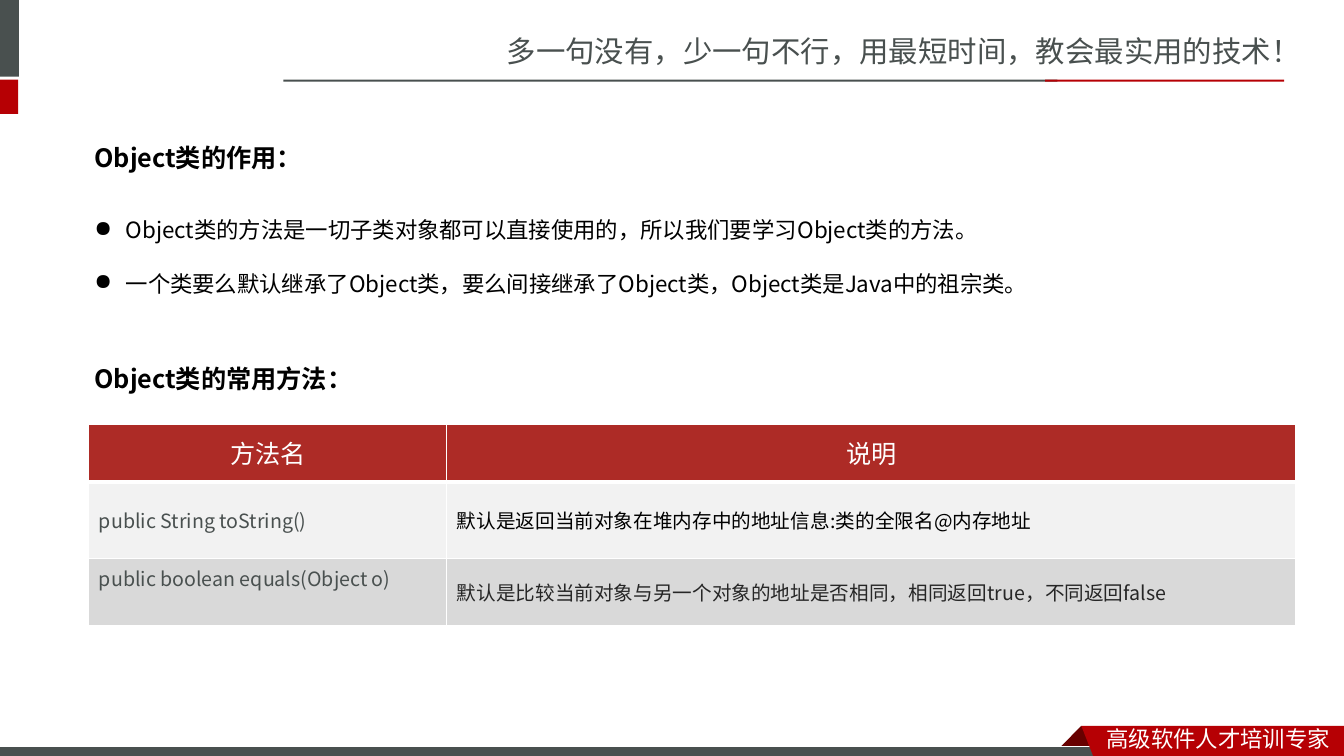
from lxml import etree
from pptx import Presentation
from pptx import util as u
from pptx.dml.color import RGBColor
from pptx.enum import shapes, text
from pptx.oxml import ns

GRAY = RGBColor(0x49, 0x50, 0x4F)
RED = RGBColor(0xB6, 0x00, 0x04)
DARK = RGBColor(0x68, 0x00, 0x00)
BRICK = RGBColor(0xAD, 0x2B, 0x26)
PALE = RGBColor(0xF2, 0xF2, 0xF2)
SILVER = RGBColor(0xD9, 0xD9, 0xD9)
INK = RGBColor(0x26, 0x26, 0x26)
BLACK = RGBColor(0, 0, 0)
WHITE = RGBColor(0xFF, 0xFF, 0xFF)

SANS = "Noto Sans CJK SC"
BODY = "Noto Sans CJK JP"
HEAD = "Roboto"
MIDDLE = text.MSO_ANCHOR.MIDDLE
TOP = text.MSO_ANCHOR.TOP


class Page:
    def __init__(self, slide, font):
        self.slide = slide
        self.font = font

    def style(self, para, size, color, font=None, bold=False):
        """Set the paragraph's font for both Latin and East Asian letters."""
        name = font or self.font
        para.font.size = u.Pt(size)
        para.font.name = name
        para.font.bold = bold
        para.font.color.rgb = color
        props = para._p.get_or_add_pPr().find(ns.qn("a:defRPr"))
        etree.SubElement(props, ns.qn("a:ea")).set("typeface", name)

    def paint(self, shape, fill, edge=None):
        shape.shadow.inherit = False
        shape.fill.solid()
        shape.fill.fore_color.rgb = fill
        if edge is None:
            shape.line.fill.background()
        else:
            shape.line.color.rgb = edge
            shape.line.width = u.Pt(0.75)

    def rect(self, box, fill, edge=None):
        shape = self.slide.shapes.add_shape(
            shapes.MSO_SHAPE.RECTANGLE, *map(u.Cm, box))
        self.paint(shape, fill, edge)

    def poly(self, points, fill):
        first, *rest = [(u.Cm(x), u.Cm(y)) for x, y in points]
        form = self.slide.shapes.build_freeform(*first)
        form.add_line_segments(rest, close=True)
        self.paint(form.convert_to_shape(), fill)

    def text(self, box, lines, size, color, font=None, bold=False,
             space=1, bullet=False):
        frame = self.slide.shapes.add_textbox(*map(u.Cm, box)).text_frame
        frame.word_wrap = True
        frame.auto_size = text.MSO_AUTO_SIZE.SHAPE_TO_FIT_TEXT
        frame.text = "\n".join(lines)
        for para in frame.paragraphs:
            para.line_spacing = space
            if bullet:
                self.bullet(para)
            self.style(para, size, color, font, bold)

    def bullet(self, para):
        props = para._p.get_or_add_pPr()
        props.set("marL", str(u.Cm(0.79)))
        props.set("indent", str(u.Cm(-0.79)))
        etree.SubElement(props, ns.qn("a:buChar")).set("char", "●")

    def table(self, left, top, cols, rows):
        grid = self.slide.shapes.add_table(
            len(rows), len(cols), u.Cm(left), u.Cm(top), u.Cm(sum(cols)),
            u.Cm(sum(rows))).table
        for col, width in zip(grid.columns, cols):
            col.width = u.Cm(width)
        for row, height in zip(grid.rows, rows):
            row.height = u.Cm(height)
        return grid

    def cell(self, cell, words, fill, color, anchor=MIDDLE):
        cell.text = words
        cell.vertical_anchor = anchor
        cell.fill.solid()
        cell.fill.fore_color.rgb = fill
        self.style(cell.text_frame.paragraphs[0], 14, color)

    def header(self, cell, words):
        cell.text = words
        cell.vertical_anchor = MIDDLE
        cell.fill.solid()
        cell.fill.fore_color.rgb = BRICK
        para = cell.text_frame.paragraphs[0]
        para.alignment = text.PP_ALIGN.CENTER
        para.line_spacing = u.Pt(24)
        self.style(para, 18, WHITE, HEAD)

    def border(self, cell, top, bottom):
        """Draw white cell edges; top and bottom are widths in points."""
        props = cell._tc.get_or_add_tcPr()
        edges = {"lnL": 1, "lnR": 1, "lnT": top, "lnB": bottom}
        for place, (tag, width) in enumerate(edges.items()):
            line = etree.Element(ns.qn("a:" + tag), w=str(u.Pt(width)))
            fill = etree.SubElement(line, ns.qn("a:solidFill"))
            etree.SubElement(fill, ns.qn("a:srgbClr")).set("val", str(WHITE))
            props.insert(place, line)


def frame(page):
    """Draw the slogan, the side marks and the footer."""
    page.text((12.52, 0.71, 21.36, 1.19),
              ["多一句没有，少一句不行，用最短时间，教会最实用的技术！"],
              21, GRAY, SANS)
    page.rect((-0.15, 0, 0.63, 1.93), GRAY)
    page.rect((-0.15, 2.01, 0.61, 0.86), RED)
    page.rect((7.14, 2.01, 19.51, 0.05), GRAY)
    page.rect((26.34, 2.01, 6.02, 0.05), RED)
    page.poly([(27.25, 18.29), (27.81, 18.85), (27.79, 18.87),
               (26.72, 18.87), (26.7, 18.85)], DARK)
    page.rect((-0.03, 18.82, 27.94, 0.3), GRAY, WHITE)
    page.poly([(27.25, 18.29), (33.87, 18.29), (33.87, 19.15),
               (27.58, 19.13)], RED)
    page.text((27.64, 18.16, 6.22, 0.94), ["高级软件人才培训专家"],
              16, WHITE, SANS)


def methods(page):
    grid = page.table(2.24, 10.69, [9.02, 21.39], [1.45, 1.93, 1.7])
    for col, words in enumerate(["方法名", "说明"]):
        page.header(grid.cell(0, col), words)
        page.border(grid.cell(0, col), 1, 3)
    rows = [
        ("public String toString()",
         "默认是返回当前对象在堆内存中的地址信息:类的全限名@内存地址",
         PALE, BLACK, MIDDLE, 3),
        ("public boolean equals(Object o)",
         "默认是比较当前对象与另一个对象的地址是否相同，相同返回true，不同返回false",
         SILVER, INK, TOP, 1),
    ]
    for row, (name, note, fill, ink, anchor, edge) in enumerate(rows, 1):
        page.cell(grid.cell(row, 0), name, fill, GRAY, anchor)
        page.cell(grid.cell(row, 1), note, fill, ink)
        for col in range(2):
            page.border(grid.cell(row, col), edge, 1)


def main():
    deck = Presentation()
    deck.slide_width, deck.slide_height = u.Cm(33.87), u.Cm(19.05)
    page = Page(deck.slides.add_slide(deck.slide_layouts[6]), BODY)
    frame(page)
    page.text((2.13, 4.65, 30.66, 4.19), [
        "Object类的方法是一切子类对象都可以直接使用的，所以我们要学习Object类的方法。",
        "一个类要么默认继承了Object类，要么间接继承了Object类，Object类是Java中的祖宗类。",
    ], 16, BLACK, space=2, bullet=True)
    methods(page)
    page.text((2.13, 9.02, 16.94, 1.02), ["Object类的常用方法："],
              18, BLACK, bold=True)
    page.text((2.13, 3.07, 16.94, 1.3), ["Object类的作用："],
              18, BLACK, bold=True, space=1.5)
    deck.save("out.pptx")


if __name__ == "__main__":
    main()
